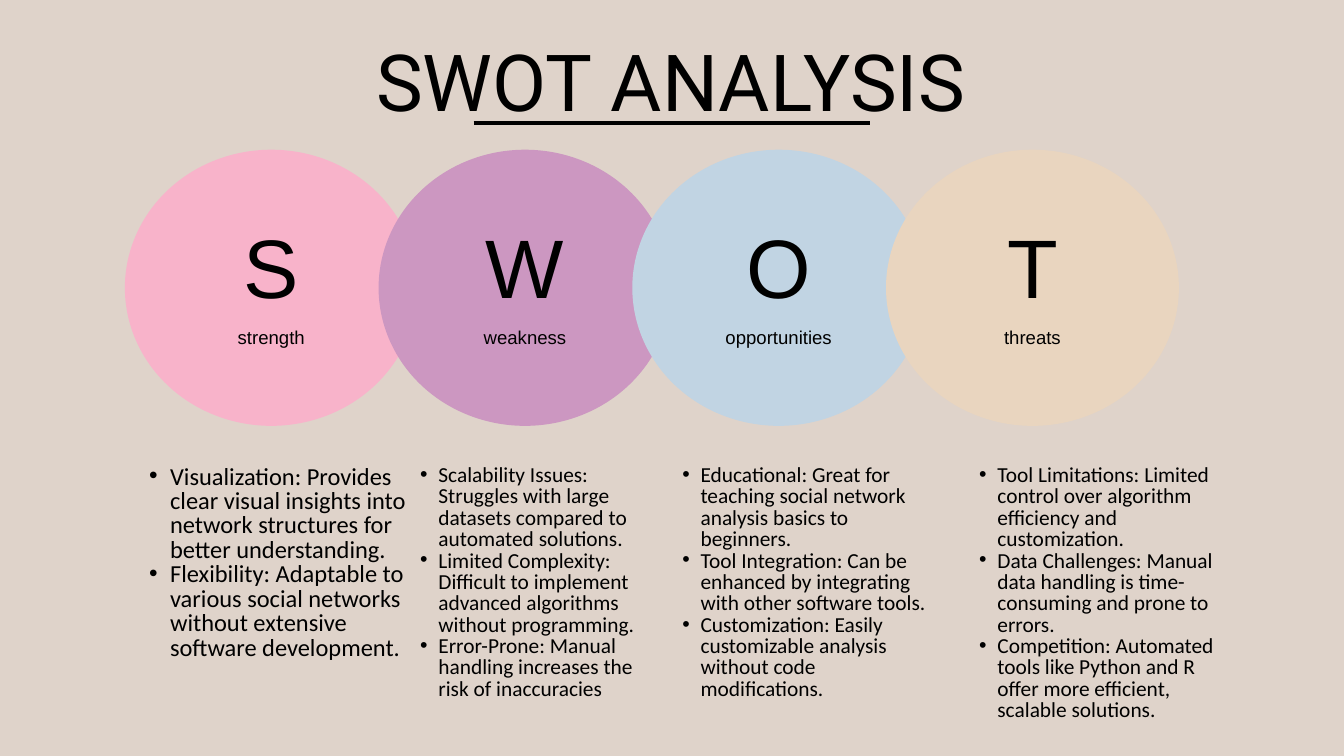
from typing import NamedTuple

from lxml import etree
from pptx import Presentation
from pptx.dml.color import RGBColor
from pptx.enum.shapes import MSO_CONNECTOR, MSO_SHAPE
from pptx.enum.text import MSO_ANCHOR, MSO_AUTO_SIZE, PP_ALIGN
from pptx.oxml.ns import qn
from pptx.util import Cm, Pt

LINE, OVAL = MSO_CONNECTOR.STRAIGHT, MSO_SHAPE.OVAL
LEFT, CENTER = PP_ALIGN.LEFT, PP_ALIGN.CENTER
TOP, NO_FIT = MSO_ANCHOR.TOP, MSO_AUTO_SIZE.NONE

BLACK = RGBColor(0x00, 0x00, 0x00)
SAND = RGBColor(0xDF, 0xD3, 0xCA)
PINK = RGBColor(0xF8, 0xB3, 0xCA)
MAUVE = RGBColor(0xCC, 0x97, 0xC1)
BLUE = RGBColor(0xC1, 0xD4, 0xE3)
CREAM = RGBColor(0xE9, 0xD5, 0xBF)

# Circles, in cm
FIRST, STEP = 4.72, 9.59
DISC_TOP, DISC_W, DISC_H = 5.66, 11.07, 10.44
LIST_TOP = 17.6


class Part(NamedTuple):
    letter: str
    label: str
    fill: RGBColor
    left: float  # list box, cm
    width: float
    height: float
    size: float
    indent: float
    points: tuple[str, ...]


PARTS = (
    Part("S", "strength", PINK, 4.85, 10.92, 10.08, 26.2, 0.79, (
        "Visualization: Provides clear visual insights into network structures for better understanding.",
        "Flexibility: Adaptable to various social networks without extensive software development.",
    )),
    Part("W", "weakness", MAUVE, 15.19, 9.91, 9.58, 22.9, 0.69, (
        "Scalability Issues: Struggles with large datasets compared to automated solutions.",
        "Limited Complexity: Difficult to implement advanced algorithms without programming.",
        "Error-Prone: Manual handling increases the risk of inaccuracies",
    )),
    Part("O", "opportunities", BLUE, 25.1, 10.46, 10.36, 22.9, 0.69, (
        "Educational: Great for teaching social network analysis basics to beginners.",
        "Tool Integration: Can be enhanced by integrating with other software tools.",
        "Customization: Easily customizable analysis without code modifications.",
    )),
    Part("T", "threats", CREAM, 36.32, 10.57, 10.36, 22.9, 0.69, (
        "Tool Limitations: Limited control over algorithm efficiency and customization.",
        "Data Challenges: Manual data handling is time-consuming and prone to errors.",
        "Competition: Automated tools like Python and R offer more efficient, scalable solutions.",
    )),
)


def add_bullet(para, indent: float) -> None:
    props = para._p.get_or_add_pPr()
    props.set("marL", str(Cm(2 * indent)))
    props.set("indent", str(-Cm(indent)))
    etree.SubElement(props, qn("a:buFont")).set("typeface", "Arial")
    etree.SubElement(props, qn("a:buChar")).set("char", "•")


def write(shape, *lines: str, size: float, font: str = "Arial",
          space: float = 0, align=CENTER, indent: float = 0) -> None:
    """Fill a shape with one paragraph a line; space is the line pitch in points."""
    frame = shape.text_frame
    frame.word_wrap = True
    frame.auto_size = NO_FIT
    frame.vertical_anchor = TOP
    frame.margin_left = frame.margin_right = 0
    frame.margin_top = frame.margin_bottom = 0
    for i, line in enumerate(lines):
        para = frame.add_paragraph() if i else frame.paragraphs[0]
        if indent:
            add_bullet(para, indent)
        para.alignment = align
        para.line_spacing = Pt(space or size)
        run = para.add_run()
        run.text = line
        run.font.name = font
        run.font.size = Pt(size)
        run.font.color.rgb = BLACK


def add_box(slide, left: float, top: float, width: float, height: float):
    return slide.shapes.add_textbox(Cm(left), Cm(top), Cm(width), Cm(height))


def draw_title(slide) -> None:
    title = slide.shapes.title
    title.left, title.top = Cm(13.06), Cm(0.64)
    title.width, title.height = Cm(24.59), Cm(4.01)
    write(title, "SWOT ANALYSIS", size=84.3, font="Roboto", space=118)
    rule = slide.shapes.add_connector(LINE, Cm(17.9), Cm(4.65), Cm(32.9), Cm(4.65))
    rule.line.color.rgb = BLACK
    rule.line.width = Pt(3.75)
    etree.SubElement(rule._element.spPr, qn("a:effectLst"))


def draw_disc(slide, part: Part, left: float) -> None:
    disc = slide.shapes.add_shape(OVAL, Cm(left), Cm(DISC_TOP), Cm(DISC_W), Cm(DISC_H))
    disc.shadow.inherit = False
    disc.fill.solid()
    disc.fill.fore_color.rgb = part.fill
    disc.line.fill.background()
    write(add_box(slide, left, 8.79, DISC_W, 3.5), part.letter, size=88.9)
    write(add_box(slide, left, 12.45, DISC_W, 0.79), part.label, size=19.9)


def draw_list(slide, part: Part) -> None:
    box = add_box(slide, part.left, LIST_TOP, part.width, part.height)
    write(box, *part.points, size=part.size, font="Calibri", align=LEFT, indent=part.indent)


def main() -> None:
    deck = Presentation()
    deck.slide_width, deck.slide_height = Cm(50.8), Cm(28.58)
    slide = deck.slides.add_slide(deck.slide_layouts[5])
    slide.background.fill.solid()
    slide.background.fill.fore_color.rgb = SAND
    draw_title(slide)
    for i, part in enumerate(PARTS):
        draw_disc(slide, part, FIRST + i * STEP)
    for part in PARTS:
        draw_list(slide, part)
    deck.save("out.pptx")


if __name__ == "__main__":
    main()
